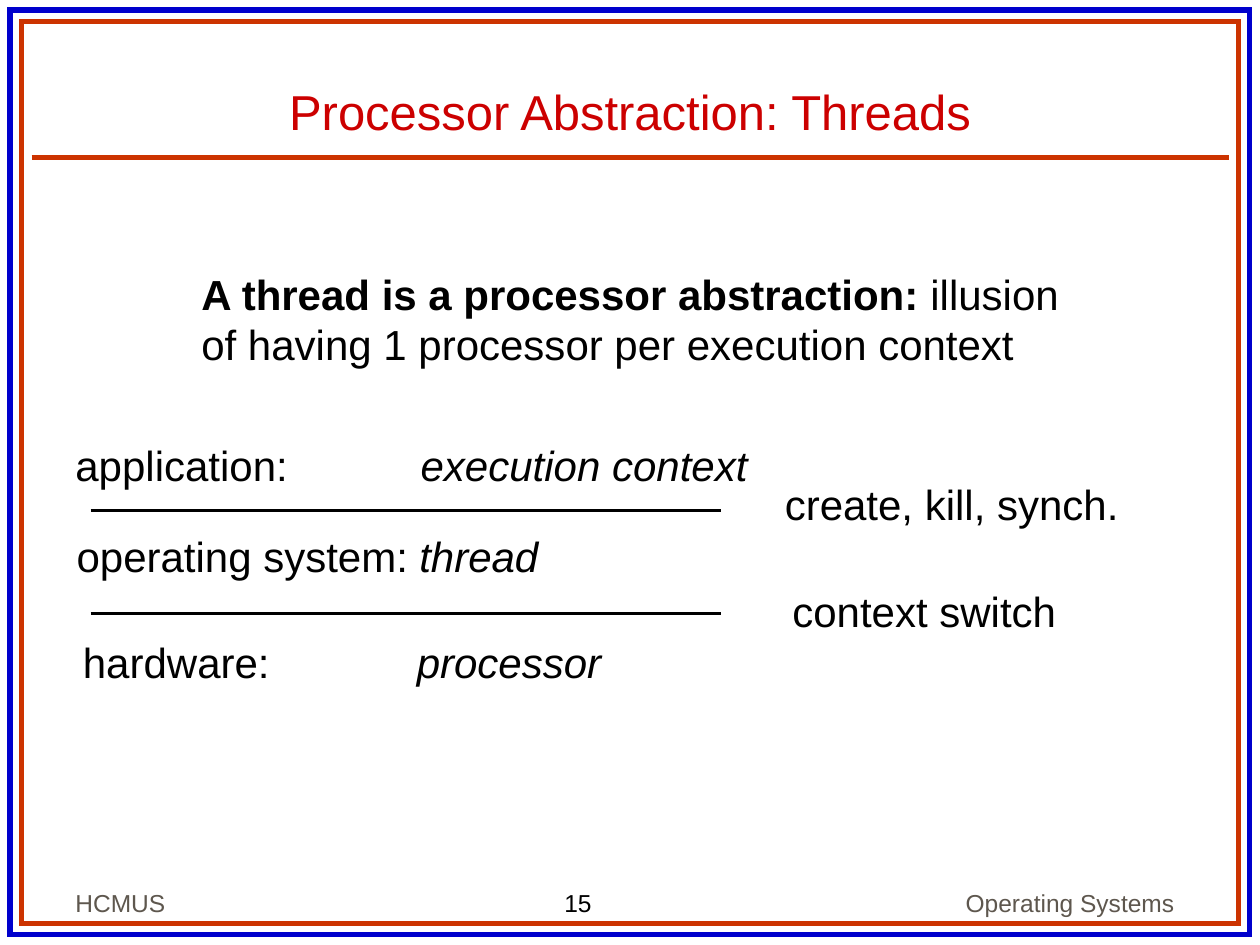
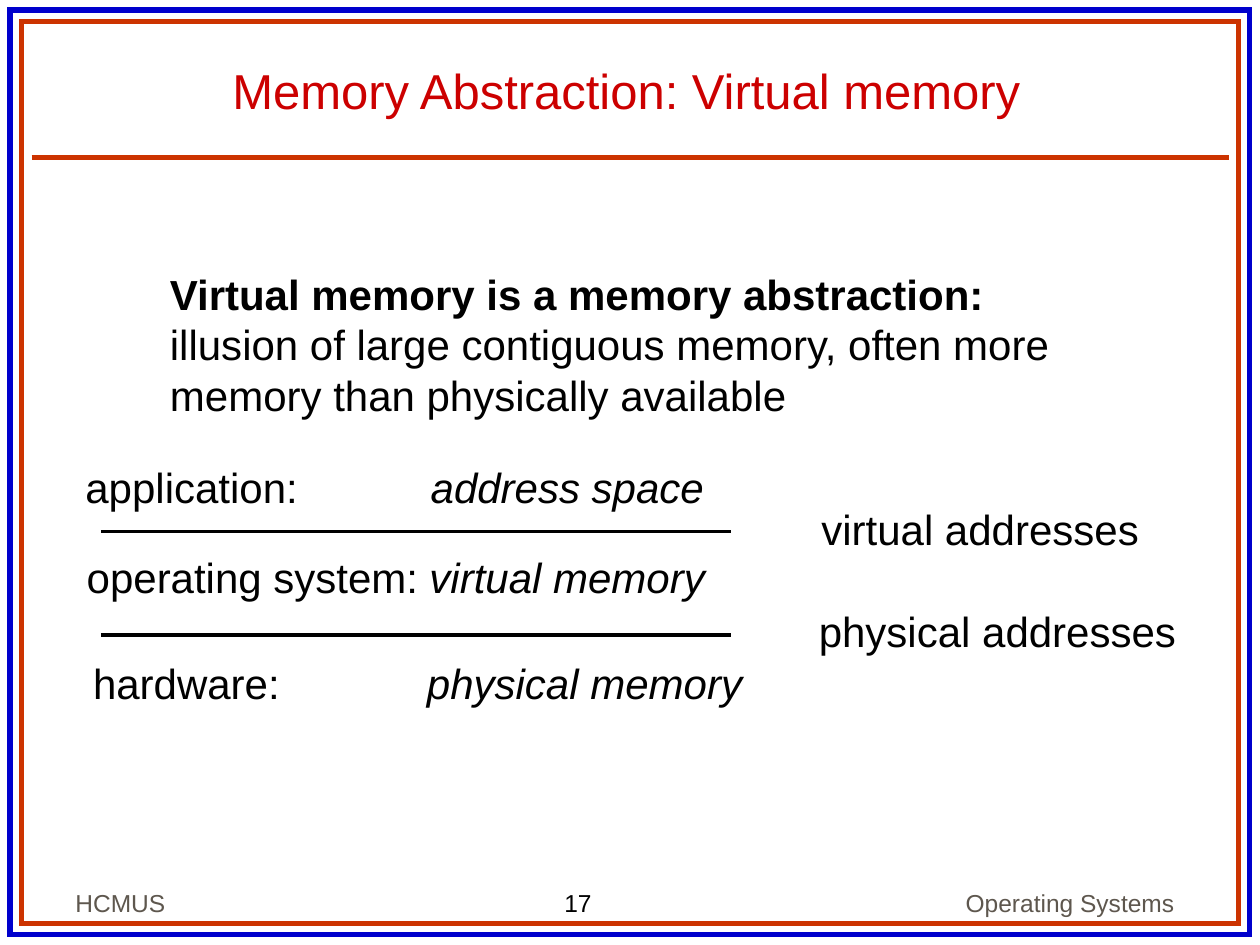
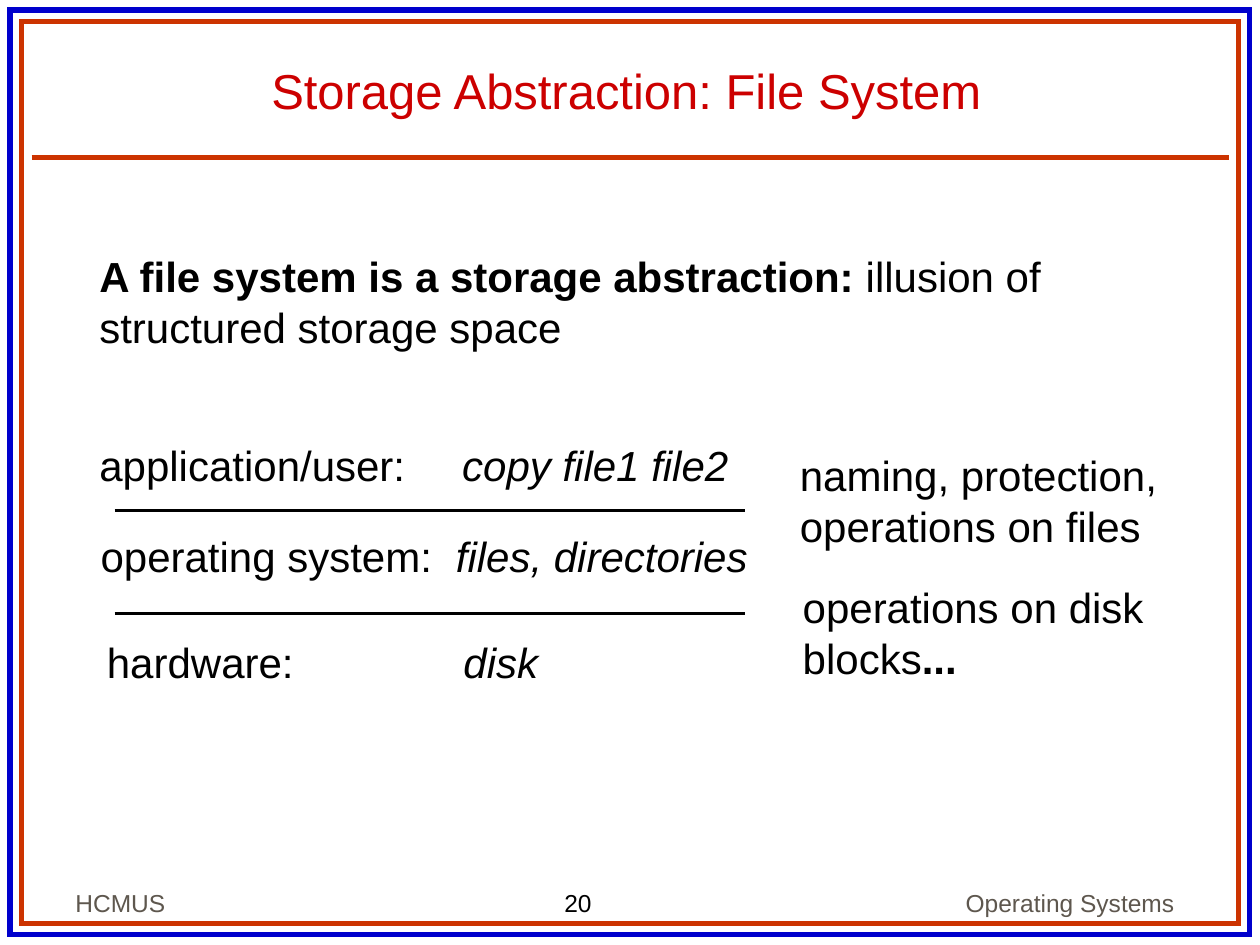
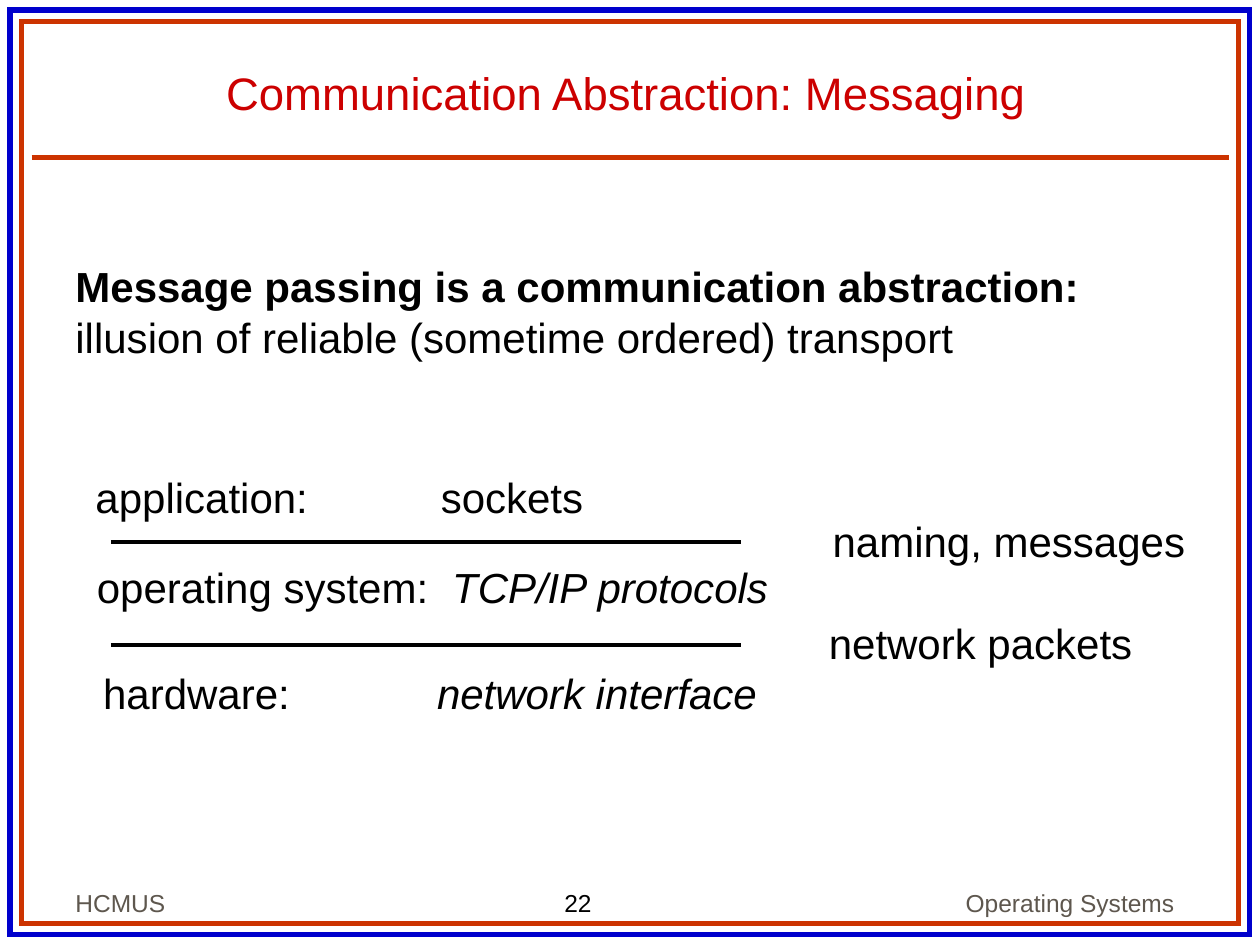
"""Build four slides on operating system abstractions."""
from lxml import etree
from pptx import Presentation
from pptx import util as u
from pptx.dml.color import RGBColor
from pptx.enum import shapes, text
from pptx.oxml import ns

BLUE = RGBColor(0x00, 0x00, 0xCC)
ORANGE = RGBColor(0xCC, 0x33, 0x00)
RED = RGBColor(0xCC, 0x00, 0x00)
GREY = RGBColor(0x5E, 0x57, 0x4E)
BLACK = RGBColor(0x00, 0x00, 0x00)

BODY = {"size": u.Pt(24), "name": "Arial"}
SMALL = {"size": u.Pt(14), "name": "Arial"}
BOLD = {"bold": True}
ITALIC = {"italic": True}
PLAIN = {}
BOTTOM = text.MSO_ANCHOR.BOTTOM
CENTER = text.PP_ALIGN.CENTER
RIGHT = text.PP_ALIGN.RIGHT


def add_text(slide, box, paragraphs, font=BODY, color=BLACK, fit=True,
             anchor=text.MSO_ANCHOR.TOP, alignment=text.PP_ALIGN.LEFT, tab=None):
    shape = slide.shapes.add_textbox(*map(u.Inches, box))
    frame = shape.text_frame
    frame_format = {
        "word_wrap": True,
        "vertical_anchor": anchor,
        "auto_size": text.MSO_AUTO_SIZE.SHAPE_TO_FIT_TEXT if fit else text.MSO_AUTO_SIZE.NONE,
    }
    for name, value in frame_format.items():
        setattr(frame, name, value)
    for index, runs in enumerate(paragraphs):
        paragraph = frame.add_paragraph() if index else frame.paragraphs[0]
        paragraph.alignment = alignment
        if tab:
            properties = paragraph._p.get_or_add_pPr()
            tab_list = etree.SubElement(properties, ns.qn("a:tabLst"))
            etree.SubElement(tab_list, ns.qn("a:tab"), pos=str(u.Inches(tab)), algn="l")
        for words, style in runs:
            run = paragraph.add_run()
            run.text = words
            run.font.color.rgb = color
            for name, value in {**font, **style}.items():
                setattr(run.font, name, value)


def add_line(slide, left, right, top, color, width):
    line = slide.shapes.add_connector(
        shapes.MSO_CONNECTOR.STRAIGHT, *map(u.Inches, (left, top, right, top)))
    line.line.color.rgb = color
    line.line.width = u.Pt(width)
    etree.SubElement(line._element.spPr, ns.qn("a:effectLst"))


HIGH_TITLE = (0.44, 0.25, 9.06, 0.75)
ROW_OFFSETS = [(0, 0), (0.01, 0.72), (0.06, 1.56)]
RULE_OFFSETS = [0.61, 1.43]
SLACK = 0.06

SLIDES = [
    {
        "number": "15",
        "title": ("Processor Abstraction: Threads", (0.25, 0.17, 9.5, 0.99), 28),
        "summary": ((1.5, 2.08, 7.17, 0.9), "A thread is a processor abstraction: ",
                    "illusion of having 1 processor per execution context"),
        "stack": (0.5, 3.44),
        "rows": [("application:", "execution context", ITALIC, 2.74, 5.53),
                 ("operating system:", "thread", ITALIC, 2.72, 3.87),
                 ("hardware:", "processor", ITALIC, 2.65, 4.31)],
        "notes": [((6.13, 3.75, 2.85), [[("create, kill, synch.", PLAIN)]]),
                  ((6.19, 4.6, 2.29), [[("context switch", PLAIN)]])],
    },
    {
        "number": "17",
        "title": ("Memory Abstraction: Virtual memory", HIGH_TITLE, 28),
        "summary": ((1.25, 2.08, 7.75, 1.3), "Virtual memory is a memory abstraction: ",
                    "illusion of large contiguous memory, often more memory "
                    "than physically available"),
        "stack": (0.58, 3.61),
        "rows": [("application:", "address space", ITALIC, 2.74, 5.11),
                 ("operating system:", "virtual memory", ITALIC, 2.72, 5.11),
                 ("hardware:", "physical memory", ITALIC, 2.65, 5.35)],
        "notes": [((6.42, 3.95, 2.72), [[("virtual addresses", PLAIN)]]),
                  ((6.4, 4.76, 3.03), [[("physical addresses", PLAIN)]])],
    },
    {
        "number": "20",
        "title": ("Storage Abstraction: File System", HIGH_TITLE, 28),
        "summary": ((0.69, 1.94, 8.4, 0.9), "A file system is a storage abstraction: ",
                    "illusion of structured storage space"),
        "stack": (0.69, 3.44),
        "rows": [("application/user:", "copy file1 file2", ITALIC, 2.88, 5.29),
                 ("operating system:", "files, directories", ITALIC, 2.82, 5.33),
                 ("hardware:", "disk", ITALIC, 2.83, 3.62)],
        "notes": [((6.25, 3.52, 3.34), [[("naming, protection,", PLAIN)],
                                        [("operations on files", PLAIN)]]),
                  ((6.18, 4.57, 3.09), [[(" operations on disk", PLAIN)],
                                        [(" blocks", PLAIN), ("...", BOLD)]])],
    },
    {
        "number": "22",
        "title": ("Communication Abstraction: Messaging", HIGH_TITLE, 26),
        "summary": ((0.5, 2.02, 8.55, 0.9), "Message passing is a communication abstraction:",
                    " illusion of reliable (sometime ordered) transport"),
        "stack": (0.66, 3.69),
        "rows": [("application:", "sockets", PLAIN, 2.74, 4.07),
                 ("operating system:", "TCP/IP protocols", ITALIC, 2.82, 5.53),
                 ("hardware:", "network interface", ITALIC, 2.65, 5.39)],
        "notes": [((6.51, 4.04, 3), [[("naming, messages", PLAIN)]]),
                  ((6.48, 4.85, 2.61), [[("network packets", PLAIN)]])],
    },
]

presentation = Presentation()
presentation.slide_width = u.Inches(10)
presentation.slide_height = u.Inches(7.5)

for content in SLIDES:
    slide = presentation.slides.add_slide(presentation.slide_layouts[6])

    add_text(slide, (4.38, 7, 1.09, 0.34), [[(content["number"], PLAIN)]], SMALL)
    for inset, color in [(0.08, BLUE), (0.17, ORANGE)]:
        border = slide.shapes.add_shape(
            shapes.MSO_SHAPE.RECTANGLE,
            *map(u.Inches, (inset, inset, 10 - 2 * inset, 7.5 - 2 * inset)))
        border.shadow.inherit = False
        border.fill.background()
        border.line.color.rgb = color
        border.line.width = u.Pt(3)
        outline = border._element.spPr.find(ns.qn("a:ln"))
        etree.SubElement(outline, ns.qn("a:miter"), lim="800000")
    add_line(slide, 0.25, 9.75, 1.25, ORANGE, 3)
    add_text(slide, (0.5, 6.83, 2.08, 0.5), [[("HCMUS", PLAIN)]], SMALL, GREY,
             fit=False, anchor=BOTTOM)
    add_text(slide, (6.67, 6.83, 2.75, 0.5), [[("Operating Systems", PLAIN)]], SMALL, GREY,
             fit=False, anchor=BOTTOM, alignment=RIGHT)

    title, title_box, title_size = content["title"]
    add_text(slide, title_box, [[(title, {"size": u.Pt(title_size)})]], BODY, RED,
             fit=False, anchor=BOTTOM, alignment=CENTER)

    summary_box, claim, illusion = content["summary"]
    add_text(slide, summary_box, [[(claim, BOLD), (illusion, PLAIN)]])

    left, top = content["stack"]
    for offset in RULE_OFFSETS:
        add_line(slide, left + 0.22, left + 5.22, top + offset, BLACK, 2)
    for (across, down), row in zip(ROW_OFFSETS, content["rows"]):
        layer, abstraction, style, tab, width = row
        add_text(slide, (left + across, top + down, width + SLACK, 0.5),
                 [[(layer + "\t", PLAIN), (abstraction, style)]], tab=tab)

    for (note_left, note_top, note_width), paragraphs in content["notes"]:
        note_height = 0.1 + 0.4 * len(paragraphs)
        add_text(slide, (note_left, note_top, note_width + SLACK, note_height), paragraphs)

presentation.save("out.pptx")
